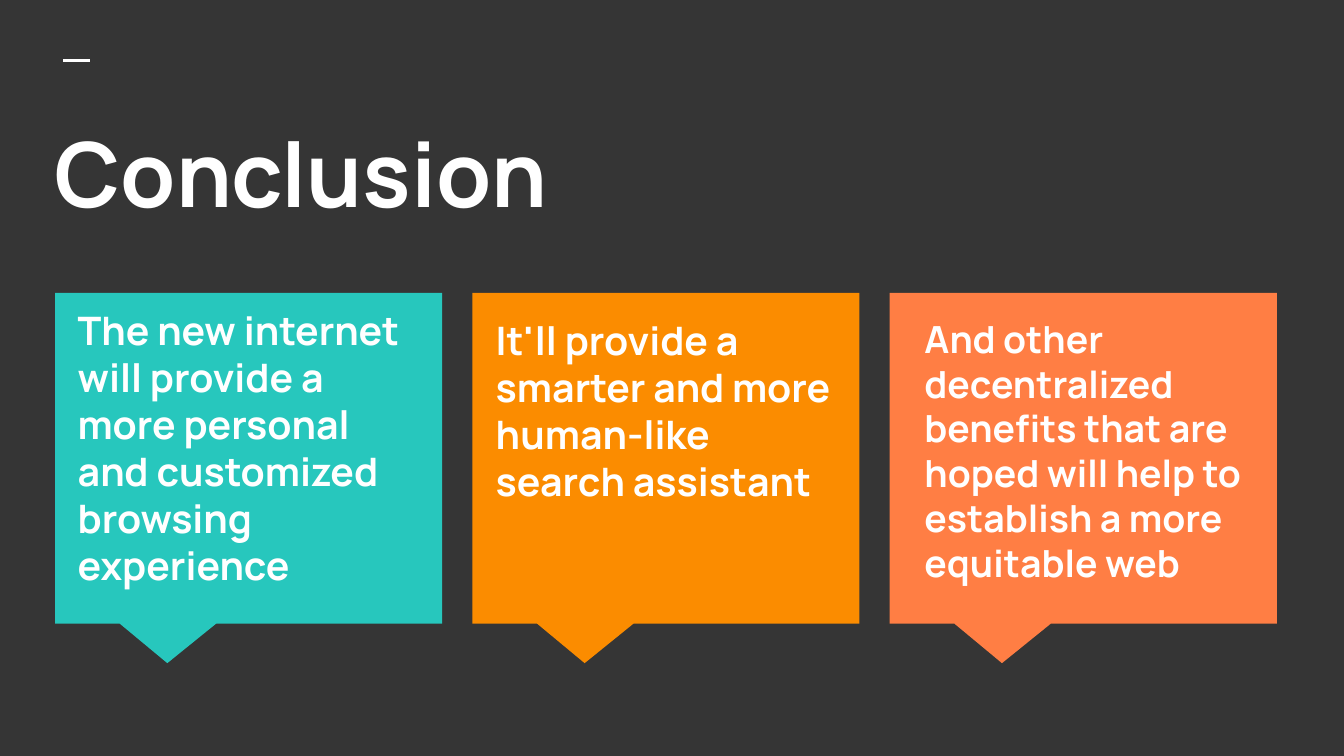
from lxml import etree
from pptx import Presentation
from pptx.dml.color import RGBColor
from pptx.enum.shapes import MSO_CONNECTOR, MSO_SHAPE
from pptx.enum.text import MSO_ANCHOR
from pptx.oxml.ns import qn
from pptx.util import Inches, Pt

STRAIGHT = MSO_CONNECTOR.STRAIGHT
CALLOUT = MSO_SHAPE.RECTANGULAR_CALLOUT
TOP = MSO_ANCHOR.TOP

BACKGROUND = "353535"
WHITE = "FFFFFF"

FIRST_CARD_LEFT, LAST_CARD_LEFT, CARD_TOP = 0.41, 6.62, 2.18
CARD_WIDTH, CARD_HEIGHT = 2.88, 2.46
TEXT_WIDTH, TEXT_HEIGHT = 2.71, 2.19

# Card colour, text, text left, text top, text size
CARDS = [
    ("27C7BD", "The new internet will provide a more personal and customized "
               "browsing experience", 0.48, 2.18, 21),
    ("FB8C00", "It'll provide a smarter and more human-like search assistant",
     3.59, 2.25, 21),
    ("FF7E44", "And other decentralized benefits that are hoped will help to "
               "establish a more equitable web", 6.78, 2.25, 20),
]
CARD_STEP = (LAST_CARD_LEFT - FIRST_CARD_LEFT) / (len(CARDS) - 1)


def color(hex_string):
    return RGBColor.from_string(hex_string)


class SlideBuilder:
    """Holds the text style and the slide being filled."""

    font = "Manrope"
    text_color = WHITE
    inset = Inches(0.1)

    def __init__(self, slide):
        self.slide = slide

    def background(self, fill):
        slide_fill = self.slide.background.fill
        slide_fill.solid()
        slide_fill.fore_color.rgb = color(fill)

    def line(self, left, top, right, bottom, width):
        connector = self.slide.shapes.add_connector(
            STRAIGHT, Inches(left), Inches(top), Inches(right), Inches(bottom))
        connector.line.color.rgb = color(WHITE)
        connector.line.width = Pt(width)
        etree.SubElement(connector._element.spPr, qn("a:effectLst"))

    def callout(self, left, top, width, height, fill):
        shape = self.slide.shapes.add_shape(
            CALLOUT, Inches(left), Inches(top), Inches(width), Inches(height))
        shape.adjustments[0] = -0.21
        shape.adjustments[1] = 0.62
        shape.shadow.inherit = False
        shape.fill.solid()
        shape.fill.fore_color.rgb = color(fill)
        shape.line.fill.background()

    def text(self, text, left, top, width, height, size, space_after=0):
        box = self.slide.shapes.add_textbox(
            Inches(left), Inches(top), Inches(width), Inches(height))
        frame = box.text_frame
        frame.word_wrap = True
        frame.vertical_anchor = TOP
        frame.margin_left = frame.margin_right = self.inset
        frame.margin_top = frame.margin_bottom = self.inset
        paragraph = frame.paragraphs[0]
        paragraph.space_after = Pt(space_after)
        run = paragraph.add_run()
        run.text = text
        run.font.name = self.font
        run.font.size = Pt(size)
        run.font.bold = True
        run.font.color.rgb = color(self.text_color)


def main():
    presentation = Presentation()
    presentation.slide_width = Inches(10)
    presentation.slide_height = presentation.slide_width * 9 // 16
    slide = presentation.slides.add_slide(presentation.slide_layouts[6])

    builder = SlideBuilder(slide)
    builder.background(BACKGROUND)
    builder.line(0.47, 0.45, 0.67, 0.45, width=1.5)
    builder.text("Conclusion", 0.31, 0.78, 9.43, 1.12, size=48)
    for index, (fill, text, left, top, size) in enumerate(CARDS):
        builder.callout(FIRST_CARD_LEFT + index * CARD_STEP, CARD_TOP,
                        CARD_WIDTH, CARD_HEIGHT, fill)
        builder.text(text, left, top, TEXT_WIDTH, TEXT_HEIGHT,
                     size=size, space_after=12)
    presentation.save("out.pptx")


if __name__ == "__main__":
    main()
